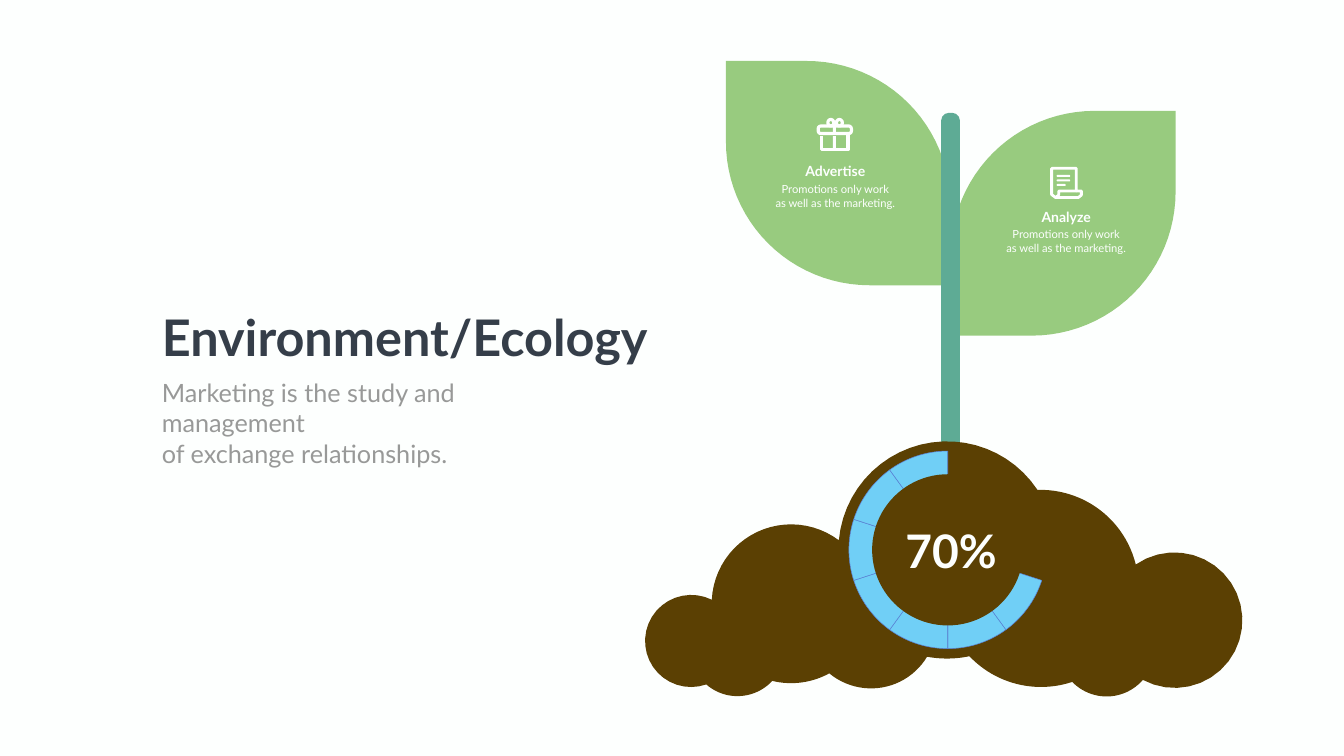
import math
import pptx
import pptx.util
import pptx.dml.color
import pptx.enum.shapes
import pptx.enum.text

WIDE, HIGH = 26.66, 15  # columns and rows; one grid cell is one inch
LEAF, STEM, SOIL, RING, EDGE = "98CB7F", "5EAB95", "5B4003", "70CFF6", "5A81D5"
PALE, WHITE, DARK, GREY = "FDFFFE", "FFFFFF", "353E49", "989998"
FORM = pptx.enum.shapes.MSO_SHAPE
ALIGN = pptx.enum.text.PP_ALIGN


def size(cells):
    return pptx.util.Inches(cells)


def hue(code):
    return pptx.dml.color.RGBColor.from_string(code)


def arc(x, y, start, end, near, far=None, steps=24):
    """Points clockwise from one angle to another, radius going from near to far."""
    far = near if far is None else far
    points = []
    for i in range(steps + 1):
        part = i / steps
        turn = math.radians(start + (end - start) * part)
        reach = near + (far - near) * part
        points.append((x + reach * math.cos(turn), y + reach * math.sin(turn)))
    return points


def bulge(mid, head, tail):
    """Arc clockwise around mid between two joints."""
    start, end = (math.degrees(math.atan2(p[1] - mid[1], p[0] - mid[0])) for p in (head, tail))
    return arc(*mid, start, start + (end - start) % 360, math.dist(mid, head), math.dist(mid, tail))


class Page:
    def __init__(self, deck, font="Lato"):
        self.font = font
        self.slide = deck.slides.add_slide(deck.slide_layouts[0])
        self.shapes = self.slide.shapes
        self.slide.background.fill.solid()
        self.slide.background.fill.fore_color.rgb = hue(PALE)

    def paint(self, shape, fill=None, line=None, width=0.75):
        shape.shadow.inherit = False
        for part, code in ((shape.fill, fill), (shape.line.fill, line)):
            if code:
                part.solid()
                part.fore_color.rgb = hue(code)
            else:
                part.background()
        if line:
            shape.line.width = pptx.util.Pt(width)

    def shape(self, form, box, fill=None, line=None, width=0.75, bend=None):
        item = self.shapes.add_shape(form, *map(size, box))
        if bend is not None:
            item.adjustments[0] = bend
        self.paint(item, fill, line, width)

    def outline(self, points, fill=None, line=None, width=0.75, close=True):
        dots = [(size(x), size(y)) for x, y in points]
        pen = self.shapes.build_freeform(*dots[0])
        pen.add_line_segments(dots[1:], close=close)
        self.paint(pen.convert_to_shape(), fill, line, width)

    def text(self, box, words, points, code, bold=False, align=ALIGN.LEFT, wrap=True, holder=None):
        item = holder or self.shapes.add_textbox(*map(size, box))
        item.left, item.top, item.width, item.height = map(size, box)
        frame = item.text_frame
        frame.text = words
        frame.word_wrap = wrap
        frame.auto_size = pptx.enum.text.MSO_AUTO_SIZE.NONE
        frame.vertical_anchor = pptx.enum.text.MSO_ANCHOR.TOP
        for line in frame.paragraphs:
            line.alignment = align
            line.space_before = pptx.util.Pt(0)
            for run in line.runs:
                run.font.name = self.font
                run.font.size = pptx.util.Pt(points)
                run.font.bold = bold
                run.font.color.rgb = hue(code)

    def leaf(self, left, top, side, flip=False):
        bend = 0.64 * side
        right, base = left + side, top + side
        if flip:
            points = [(left, base), *arc(left + bend, top + bend, 180, 270, bend),
                      (right, top), *arc(right - bend, base - bend, 0, 90, bend)]
        else:
            points = [(left, top), *arc(right - bend, top + bend, -90, 0, bend),
                      (right, base), *arc(left + bend, base - bend, 90, 180, bend)]
        self.outline(points, LEAF)

    def soil(self):
        left, hill, crown = (13.71, 12.72), (15.69, 11.98), (18.79, 10.91)
        knoll, right = (20.64, 11.67), (23.3, 12.31)
        arcs = [  # centre of each bulge and the joint where it ends
            (left, (14.12, 11.9)), (hill, (16.64, 10.72)), (crown, (20.58, 9.72)),
            (knoll, (22.53, 11.2)), (right, (22.67, 13.49)), ((21.95, 12.87), (21.27, 13.53)),
            (knoll, (19.23, 13.02)), (crown, (18.39, 13.03)), ((17.29, 12.36), (16.45, 13.36)),
            (hill, (15.32, 13.51)), ((14.62, 12.87), (14.01, 13.58)),
        ]
        points, head = [], arcs[-1][1]
        for mid, tail in arcs:
            points += bulge(mid, head, tail)
            head = tail
        self.outline(points, SOIL)

    def ring(self, x, y, reach, hole, share, parts=10):
        step = 360 / parts
        for i in range(parts):
            start = i * step - 90
            wedge = [*arc(x, y, start, start + step, reach), (x, y)]
            if i < parts - share:
                self.outline(wedge, SOIL)
            else:
                self.outline(wedge, RING, EDGE)
        self.shape(FORM.OVAL, (x - hole, y - hole, 2 * hole, 2 * hole), SOIL)

    def gift(self):
        pen = 4.5
        for left in (16.42, 16.59):
            self.shape(FORM.OVAL, (left, 2.37, 0.12, 0.13), None, WHITE, pen)
        self.shape(FORM.ROUNDED_RECTANGLE, (16.23, 2.5, 0.66, 0.15), None, WHITE, pen, 0.35)
        self.outline([(16.3, 2.7), (16.3, 2.97), (16.82, 2.97), (16.82, 2.65)],
                     None, WHITE, pen, False)
        for top, tall in ((2.5, 0.15), (2.7, 0.26)):
            self.shape(FORM.RECTANGLE, (16.52, top, 0.06, tall), WHITE)

    def scroll(self):
        pen = 4
        self.outline([(20.86, 3.34), (21.35, 3.34), (21.35, 3.79), (21.45, 3.79), (21.45, 3.87),
                      (21.39, 3.92), (20.94, 3.92), (20.86, 3.86)], None, WHITE, pen)
        self.outline([(20.94, 3.92), (21, 3.87), (21, 3.79), (21.35, 3.79)],
                     None, WHITE, pen, False)
        for i, wide in enumerate((0.27, 0.27, 0.18)):
            self.shape(FORM.ROUNDED_RECTANGLE, (20.96, 3.47 + 0.09 * i, wide, 0.04),
                       WHITE, bend=0.5)

    def label(self, mid, top, name):
        self.text((mid - 0.89, top, 1.78, 0.44), name, 20, PALE, True, ALIGN.CENTER)
        self.text((mid - 1.38, top + 0.39, 2.76, 0.64),
                  "Promotions only work\nas well as the marketing.", 16, PALE, align=ALIGN.CENTER)


def main():
    deck = pptx.Presentation()
    deck.slide_width, deck.slide_height = size(WIDE), size(HIGH)
    page = Page(deck)
    page.leaf(14.4, 1.21, 4.45)
    page.leaf(18.86, 2.2, 4.46, flip=True)
    page.shape(FORM.ROUNDED_RECTANGLE, (18.67, 2.24, 0.37, 8.03), STEM, bend=0.4)
    page.soil()
    page.scroll()
    page.gift()
    page.ring(18.8, 10.91, 1.96, 1.5, share=7)
    title, body = page.slide.placeholders
    page.text((3.11, 6.02, 10.26, 1.31), "Environment/Ecology", 72, DARK, True,
              wrap=False, holder=title)
    page.text((3.11, 7.44, 8.9, 1.31),
              "Marketing is the study and management\nof exchange relationships.",
              36, GREY, holder=body)
    page.text((17.86, 10.31, 2.04, 1.21), "70%", 66, PALE, True, wrap=False)
    page.label(16.57, 3.18, "Advertise")
    page.label(21.15, 4.08, "Analyze")
    deck.save("out.pptx")


if __name__ == "__main__":
    main()
